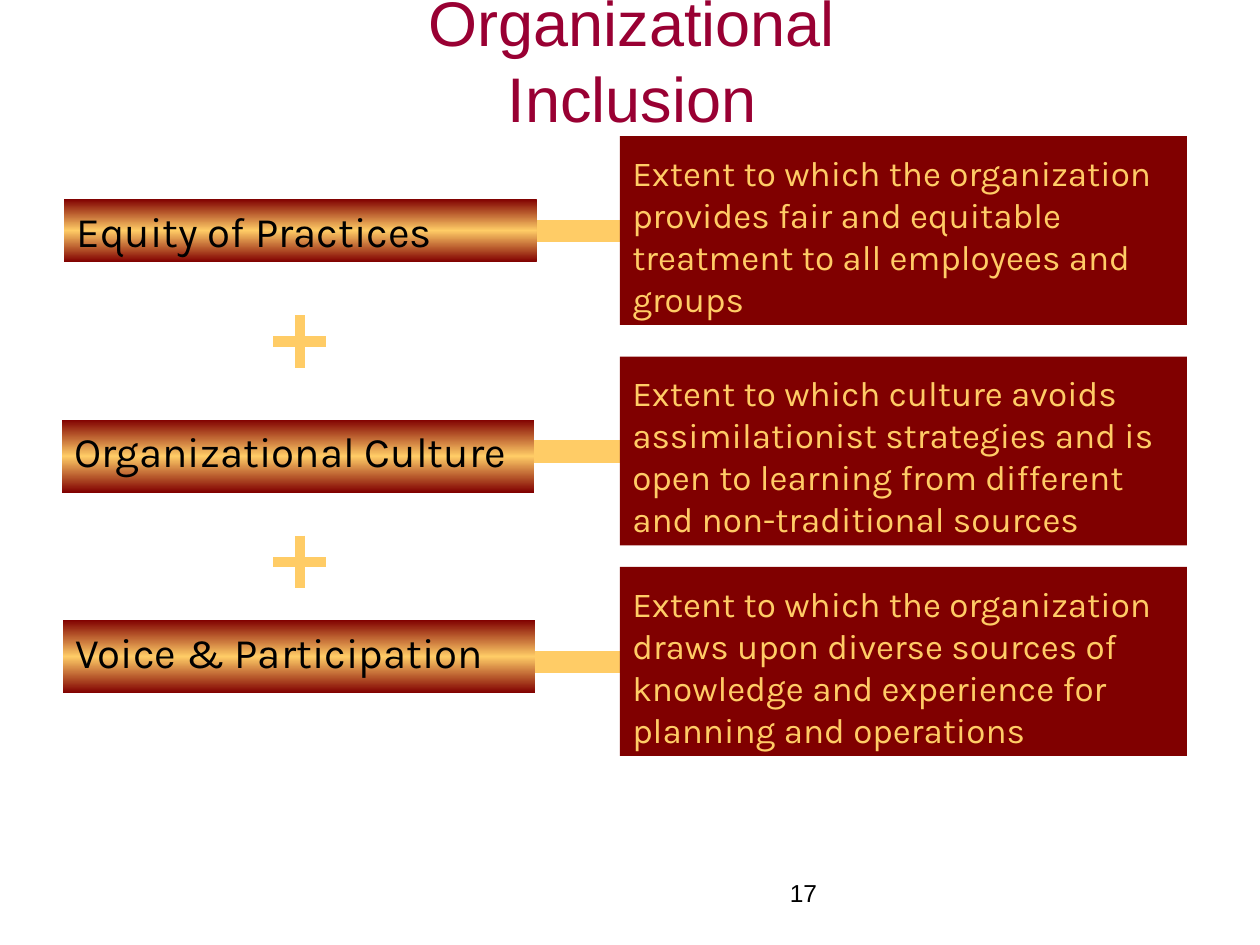
from copy import deepcopy
from dataclasses import dataclass

from lxml import etree
from pptx import Presentation
from pptx import util as u
from pptx.dml.color import RGBColor
from pptx.enum import shapes, text
from pptx.oxml.ns import qn


@dataclass(frozen=True)
class Theme:
    crimson: RGBColor = RGBColor(0x99, 0x00, 0x33)
    maroon: RGBColor = RGBColor(0x80, 0x00, 0x00)
    gold: RGBColor = RGBColor(0xFF, 0xCC, 0x66)
    black: RGBColor = RGBColor(0x00, 0x00, 0x00)
    heading_font: str = "Arial"
    body_font: str = "Karla"
    title_size: int = 36
    label_size: int = 24
    description_size: int = 20
    number_size: int = 14
    link_line: float = 0.75
    plus_line: int = 6


THEME = Theme()
TITLE_BOX = (2.25, 0.12, 5.53, 0.7)
NUMBER_BOX = (6.17, 6.92, 2.33, 0.52)
DESCRIPTION_LEFT, DESCRIPTION_WIDTH, DESCRIPTION_HEIGHT = 4.92, 4.5, 1.5
LABEL_WIDTH = 3.75
LINK_OFFSET, LINK_HEIGHT = 0.67, 0.17
PLUS_LEFT, PLUS_OFFSET, PLUS_SIZE = 2.17, 1.42, 0.42

DIMENSIONS = [
    ("Equity of Practices", (0.51, 1.58, LABEL_WIDTH, 0.5), 1.08,
     "Extent to which the organization provides fair and equitable "
     "treatment to all employees and groups"),
    ("Organizational Culture", (0.49, 3.33, LABEL_WIDTH, 0.58), 2.83,
     "Extent to which culture avoids assimilationist strategies and is "
     "open to learning from different and non-traditional sources"),
    ("Voice & Participation", (0.5, 4.92, LABEL_WIDTH, 0.58), 4.5,
     "Extent to which the organization draws upon diverse sources of "
     "knowledge and experience for planning and operations"),
]


def inches(box):
    return [u.Inches(length) for length in box]


def write(frame, words, font_name, size, color, inset_top=0.05,
          align=text.PP_ALIGN.LEFT, anchor=text.MSO_ANCHOR.TOP, wrap=True):
    frame.margin_left = frame.margin_right = u.Inches(0.1)
    frame.margin_top, frame.margin_bottom = u.Inches(inset_top), u.Inches(0.05)
    frame.vertical_anchor = anchor
    frame.word_wrap = wrap
    frame.text = words
    paragraph = frame.paragraphs[0]
    paragraph.alignment = align
    font = paragraph.runs[0].font
    font.name, font.size = font_name, u.Pt(size)
    font.color.rgb = color


def add_block(slide, box):
    block = slide.shapes.add_shape(shapes.MSO_SHAPE.RECTANGLE, *inches(box))
    block.shadow.inherit = False
    block.line.fill.background()
    return block


def add_title(slide, box):
    title = slide.shapes.title
    title.left, title.top, title.width, title.height = inches(box)
    write(title.text_frame, "Organizational Inclusion", THEME.heading_font,
          THEME.title_size, THEME.crimson, align=text.PP_ALIGN.CENTER,
          anchor=text.MSO_ANCHOR.MIDDLE, wrap=False)


def add_link(slide, box):
    link = add_block(slide, box)
    link.fill.solid()
    link.fill.fore_color.rgb = THEME.gold
    link.line.color.rgb = THEME.gold
    link.line.width = u.Pt(THEME.link_line)


def add_label(slide, box, words):
    label = add_block(slide, box)
    label.fill.gradient()
    label.fill.gradient_angle = 90
    stop_list = label.fill._xPr.find(qn("a:gradFill")).find(qn("a:gsLst"))
    stop_list.append(deepcopy(stop_list[0]))
    colors = (THEME.maroon, THEME.gold, THEME.maroon)
    for stop, position, color in zip(label.fill.gradient_stops, (0, 0.5, 1), colors):
        stop.position = position
        stop.color.rgb = color
    write(label.text_frame, words, THEME.body_font, THEME.label_size, THEME.black)


def add_description(slide, box, words):
    description = add_block(slide, box)
    description.fill.solid()
    description.fill.fore_color.rgb = THEME.maroon
    write(description.text_frame, words, THEME.body_font,
          THEME.description_size, THEME.gold, inset_top=0.12)


def add_plus(slide, box):
    left, top, width, height = box
    middle_x, middle_y = left + width / 2, top + height / 2
    plus = slide.shapes.add_group_shape()
    for ends in ((left, middle_y, left + width, middle_y),
                 (middle_x, top, middle_x, top + height)):
        stroke = plus.shapes.add_connector(shapes.MSO_CONNECTOR.STRAIGHT, *inches(ends))
        stroke.line.color.rgb = THEME.gold
        stroke.line.width = u.Pt(THEME.plus_line)
        etree.SubElement(stroke._element.spPr, qn("a:effectLst"))


def add_dimension(slide, label_box, top, label, description):
    link_left = label_box[0] + LABEL_WIDTH - 0.08
    add_link(slide, (link_left, top + LINK_OFFSET,
                     DESCRIPTION_LEFT - link_left + 0.08, LINK_HEIGHT))
    add_description(slide, (DESCRIPTION_LEFT, top, DESCRIPTION_WIDTH,
                            DESCRIPTION_HEIGHT), description)
    add_label(slide, label_box, label)


def add_slide_number(slide, box):
    number = slide.shapes.add_textbox(*inches(box))
    write(number.text_frame, "17", THEME.heading_font, THEME.number_size, THEME.black)


def main():
    deck = Presentation()
    deck.slide_width, deck.slide_height = u.Inches(10), u.Inches(7.5)
    slide = deck.slides.add_slide(deck.slide_layouts[5])
    add_title(slide, TITLE_BOX)
    for label, label_box, top, description in DIMENSIONS:
        add_dimension(slide, label_box, top, label, description)
    for _, _, top, _ in DIMENSIONS[:-1]:
        add_plus(slide, (PLUS_LEFT, top + PLUS_OFFSET, PLUS_SIZE, PLUS_SIZE))
    add_slide_number(slide, NUMBER_BOX)
    deck.save("out.pptx")


if __name__ == "__main__":
    main()
